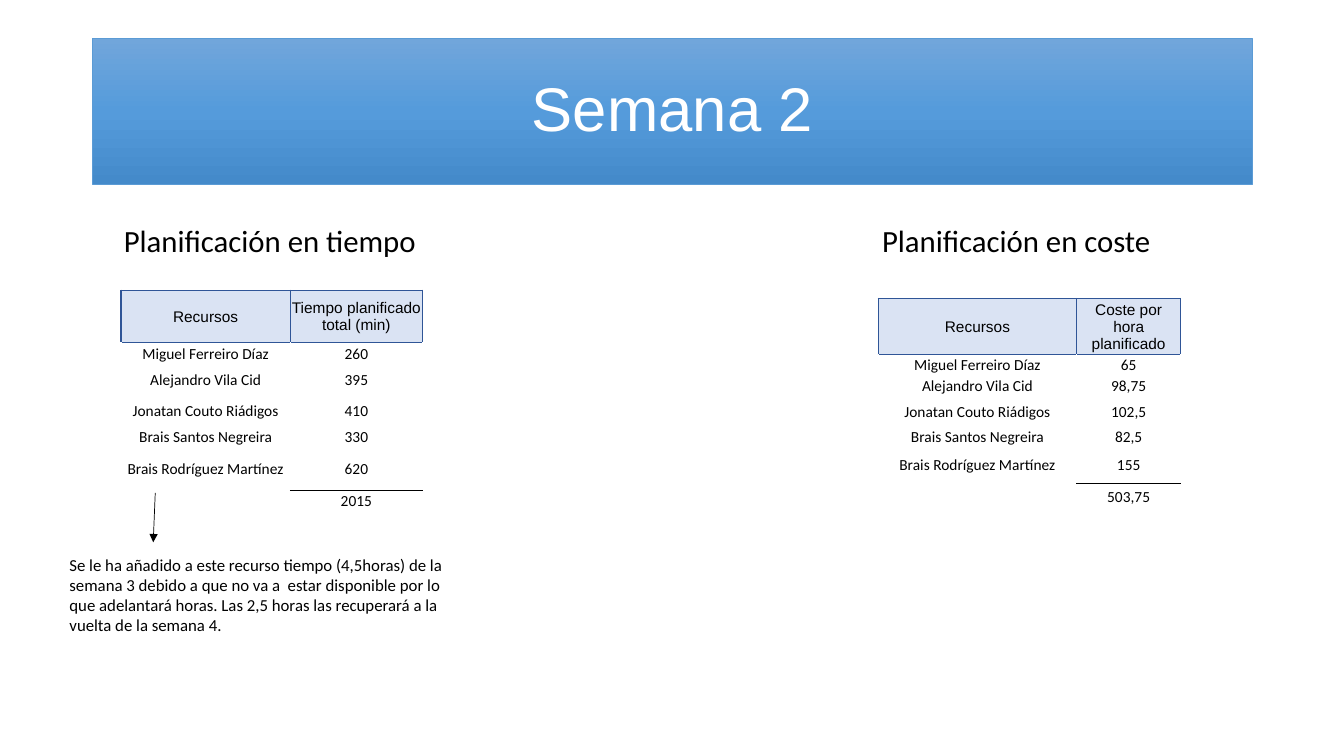
from copy import deepcopy

from lxml import etree
from pptx import Presentation
from pptx.dml.color import RGBColor
from pptx.enum.shapes import MSO_CONNECTOR
from pptx.enum.text import MSO_ANCHOR, PP_ALIGN
from pptx.oxml.ns import qn
from pptx.util import Inches, Pt

CENTER = PP_ALIGN.CENTER
MIDDLE = MSO_ANCHOR.MIDDLE
STRAIGHT = MSO_CONNECTOR.STRAIGHT

WHITE = RGBColor(0xFF, 0xFF, 0xFF)
BLACK = RGBColor(0, 0, 0)
BANNER_LINE = RGBColor(0x5B, 0x9B, 0xD5)
BANNER_STOPS = [
    (0, RGBColor(0x71, 0xA6, 0xDB)),
    (0.5, RGBColor(0x55, 0x9B, 0xDB)),
    (1, RGBColor(0x44, 0x8A, 0xCA)),
]
HEADER_FILL = RGBColor(0xDA, 0xE3, 0xF3)
HEADER_LINE = RGBColor(0x2F, 0x55, 0x97)

PEOPLE = ["Miguel Ferreiro Díaz", "Alejandro Vila Cid", "Jonatan Couto Riádigos",
          "Brais Santos Negreira", "Brais Rodríguez Martínez"]
NOTE = ("Se le ha añadido a este recurso tiempo (4,5horas) de la semana 3 debido a que "
        "no va a  estar disponible por lo que adelantará horas. Las 2,5 horas las "
        "recuperará a la vuelta de la semana 4.")


def write(paragraph, text, size, font, color=BLACK):
    run = paragraph.add_run()
    run.text = text
    run.font.size = Pt(size)
    run.font.name = font
    run.font.color.rgb = color


def add_banner(slide, left, top, width, height):
    title = slide.shapes.title
    title.left, title.top = Inches(left), Inches(top)
    title.width, title.height = Inches(width), Inches(height)

    # Vertical three-stop gradient
    title.fill.gradient()
    title.fill.gradient_angle = 270
    stop_list = title.fill._fill._gradFill.find(qn("a:gsLst"))
    stop_list.append(deepcopy(stop_list[0]))
    for stop, (position, color) in zip(title.fill.gradient_stops, BANNER_STOPS):
        stop.position = position
        stop.color.rgb = color
    title.line.color.rgb = BANNER_LINE
    title.line.width = Pt(0.5)

    title.text_frame.vertical_anchor = MIDDLE
    heading = title.text_frame.paragraphs[0]
    heading.alignment = CENTER
    heading.line_spacing = 0.9
    write(heading, "Semana 2", 44, "Arial", WHITE)


def add_text(slide, left, top, width, height, text, size):
    box = slide.shapes.add_textbox(Inches(left), Inches(top), Inches(width), Inches(height))
    box.text_frame.word_wrap = True
    write(box.text_frame.paragraphs[0], text, size, "Calibri")


def add_border(cell, sides, color, width):
    properties = cell._tc.get_or_add_tcPr()
    for side in sides:
        line = etree.SubElement(properties, qn(f"a:ln{side}"), w=str(Pt(width)))
        fill = etree.SubElement(line, qn("a:solidFill"))
        etree.SubElement(fill, qn("a:srgbClr"), val=str(color))


def add_plan_table(slide, left, top, columns, rows, measure, values, total):
    content = [("Recursos", measure), *zip(PEOPLE, values), ("", total)]
    table = slide.shapes.add_table(
        len(rows), len(columns), Inches(left), Inches(top),
        Inches(sum(columns)), Inches(sum(rows))).table
    table.first_row = table.horz_banding = False
    for column, width in zip(table.columns, columns):
        column.width = Inches(width)
    for row, height in zip(table.rows, rows):
        row.height = Inches(height)

    last = len(rows) - 1
    for r, texts in enumerate(content):
        for c, text in enumerate(texts):
            cell = table.cell(r, c)
            cell.vertical_anchor = MIDDLE
            cell.margin_left = cell.margin_right = cell.margin_top = Inches(0.01)
            cell.margin_bottom = 0

            # Header outline and the rule above the total
            if r == 0:
                add_border(cell, "LRTB", HEADER_LINE, 1)
            elif r == 1:
                add_border(cell, "T", HEADER_LINE, 1)
            elif c == 1 and r >= last - 1:
                add_border(cell, "T" if r == last else "B", BLACK, 0.5)

            if r == 0 or (c == 0 and r < last):
                cell.fill.solid()
                cell.fill.fore_color.rgb = HEADER_FILL if r == 0 else WHITE
            else:
                cell.fill.background()

            paragraph = cell.text_frame.paragraphs[0]
            paragraph.alignment = CENTER
            if text:
                write(paragraph, text, 11, "Arial" if r == 0 else "Calibri")
            else:
                # Keeps the empty cell from stretching the total row
                etree.SubElement(paragraph._p, qn("a:endParaRPr"), sz="800")


def add_plan(slide, left, top, heading, table_left, table_top, **table):
    add_text(slide, left, top, 3.12, 0.47, heading, 22)
    add_plan_table(slide, left + table_left, top + table_top, **table)


def add_note(slide, left, top):
    # Arrow from the last resource down to the note
    arrow = slide.shapes.add_connector(
        STRAIGHT, Inches(left + 0.95), Inches(top - 0.56),
        Inches(left + 0.93), Inches(top - 0.07))
    arrow.line.color.rgb = BLACK
    arrow.line.width = Pt(0.5)
    etree.SubElement(arrow.line._get_or_add_ln(), qn("a:tailEnd"), type="triangle")
    etree.SubElement(arrow._element.spPr, qn("a:effectLst"))
    add_text(slide, left, top, 4.02, 0.91, NOTE, 12)


def main():
    deck = Presentation()
    deck.slide_width, deck.slide_height = Inches(13.33), Inches(7.5)
    slide = deck.slides.add_slide(deck.slide_layouts[5])

    add_banner(slide, 0.92, 0.38, 11.5, 1.45)
    add_plan(slide, 1.13, 2.15, "Planificación en tiempo", 0.07, 0.73,
             columns=[1.68, 1.31], rows=[0.52, 0.22, 0.3, 0.31, 0.21, 0.43, 0.13],
             measure="Tiempo planificado total (min)",
             values=["260", "395", "410", "330", "620"], total="2015")
    add_note(slide, 0.59, 5.45)
    add_plan(slide, 8.65, 2.15, "Planificación en coste", 0.06, 0.81,
             columns=[1.97, 1.03], rows=[0.48, 0.19, 0.23, 0.29, 0.18, 0.37, 0.26],
             measure="Coste por hora planificado",
             values=["65", "98,75", "102,5", "82,5", "155"], total="503,75")

    deck.save("out.pptx")


if __name__ == "__main__":
    main()
